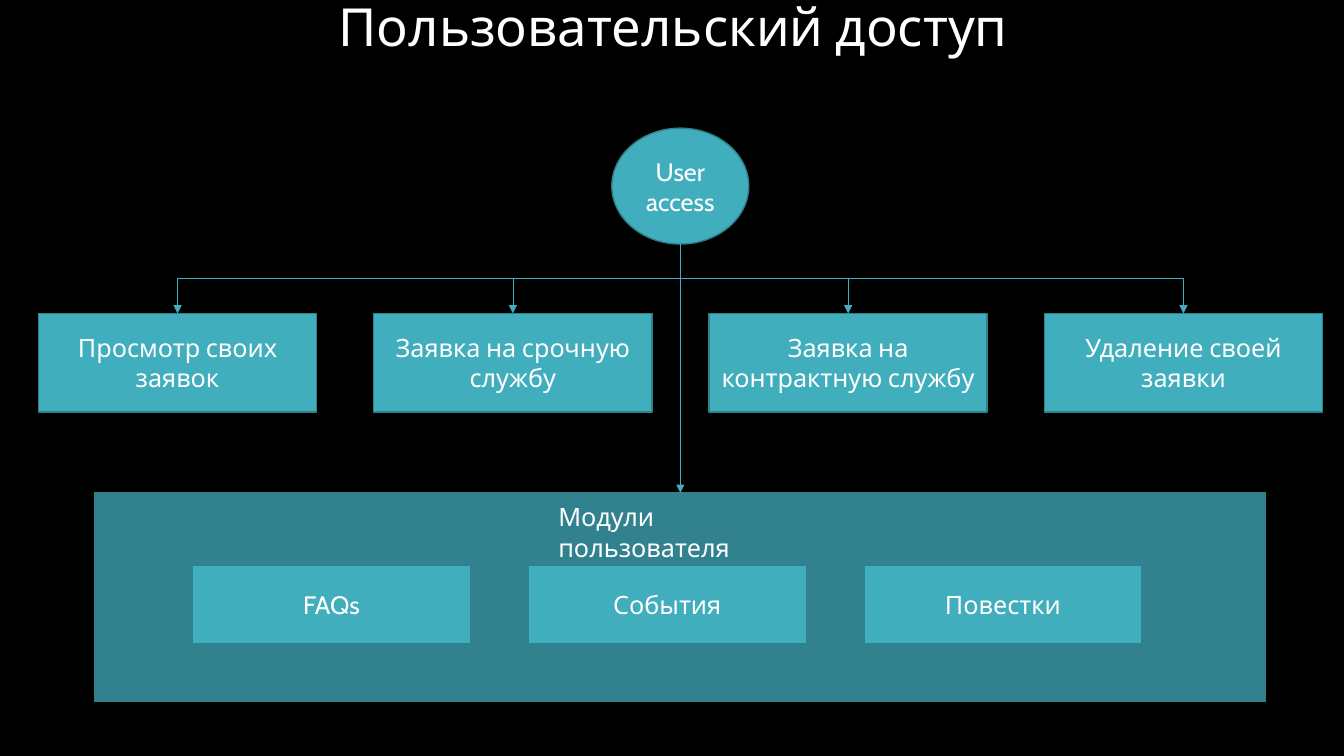
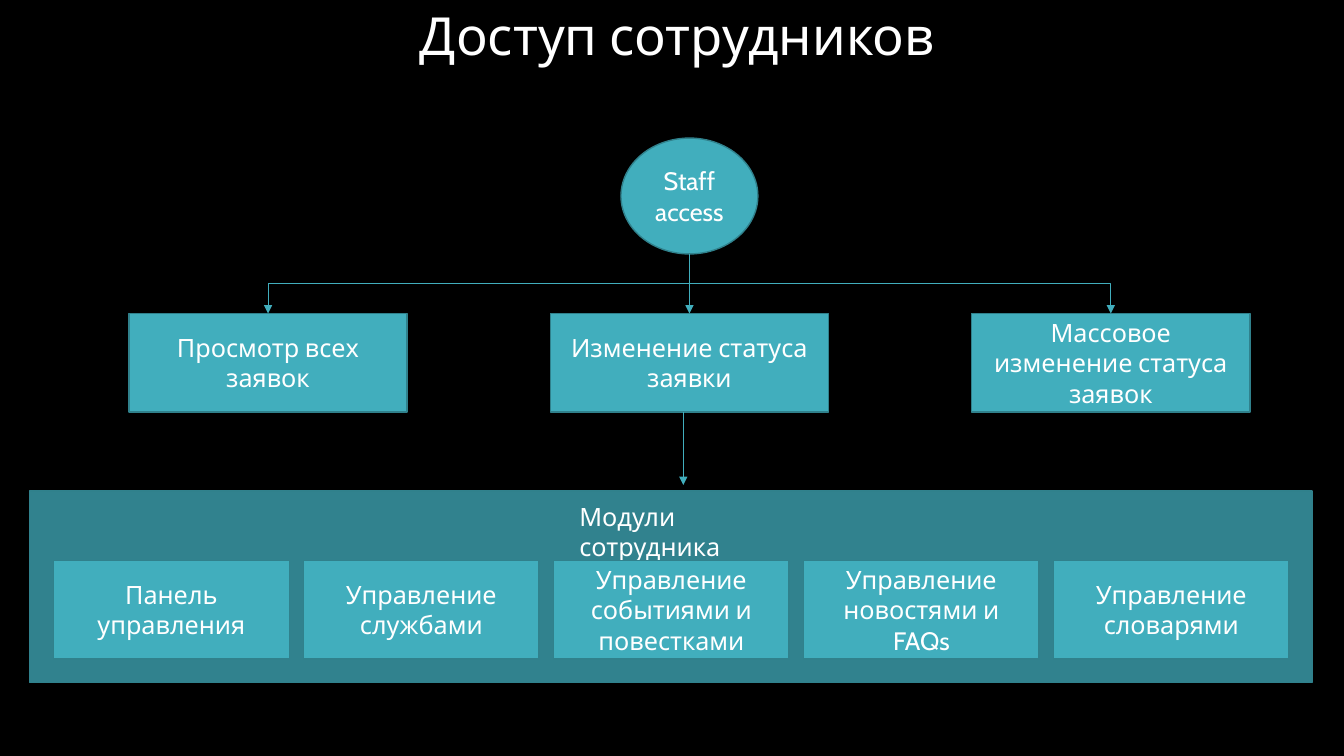
from lxml import etree
from pptx import Presentation
from pptx.dml.color import RGBColor
from pptx.enum.shapes import MSO_CONNECTOR as LINK, MSO_SHAPE as SHAPE
from pptx.enum.text import MSO_ANCHOR as ANCHOR, PP_ALIGN as ALIGN
from pptx.oxml.ns import qn
from pptx.util import Cm, Pt

BLACK = RGBColor(0x00, 0x00, 0x00)
WHITE = RGBColor(0xFF, 0xFF, 0xFF)
TEAL = RGBColor(0x41, 0xAE, 0xBD)
DARK_TEAL = RGBColor(0x31, 0x82, 0x8E)
OUTLINE = RGBColor(0x30, 0x81, 0x8C)
FONT = "Cabin"

ROLE_SIZE = 3.45, 2.92
ACTION_TOP, ACTION_SIZE = 7.9, (7.01, 2.48)


def write(frame, text, size=18, align=ALIGN.CENTER):
    frame.word_wrap = True
    paragraph = frame.paragraphs[0]
    paragraph.text = text
    paragraph.alignment = align
    font = paragraph.font
    font.name, font.size, font.color.rgb = FONT, Pt(size), WHITE
    return paragraph


def add_block(slide, place, text="", kind=SHAPE.RECTANGLE, fill=TEAL):
    block = slide.shapes.add_shape(kind, *map(Cm, place))
    block.shadow.inherit = False
    block.fill.solid()
    block.fill.fore_color.rgb = fill
    block.line.color.rgb = OUTLINE
    block.line.width = Pt(1)
    if text:
        write(block.text_frame, text)
    return block


def add_row(slide, left, top, pitch, size, texts):
    """Place equal blocks side by side, one pitch apart."""
    return [add_block(slide, (left + i * pitch, top, *size), text)
            for i, text in enumerate(texts)]


def add_title(slide, left, top, text):
    box = slide.shapes.add_textbox(Cm(left), Cm(top), Cm(32.66), Cm(1.37))
    box.text_frame.vertical_anchor = ANCHOR.BOTTOM
    write(box.text_frame, text, 37.5).line_spacing = 0.7


def add_label(slide, left, top, width, text):
    box = slide.shapes.add_textbox(Cm(left), Cm(top), Cm(width), Cm(1.02))
    write(box.text_frame, text, align=ALIGN.LEFT)


def add_arrow(slide, kind, start, end):
    arrow = slide.shapes.add_connector(kind, *map(int, (*start, *end)))
    arrow.line.color.rgb = TEAL
    arrow.line.width = Pt(0.5)
    etree.SubElement(arrow.line._get_or_add_ln(), qn("a:tailEnd"), type="triangle")
    etree.SubElement(arrow._element.spPr, qn("a:effectLst"))
    return arrow


def bottom_middle(shape):
    return shape.left + shape.width // 2, shape.top + shape.height


def top_middle(shape):
    return shape.left + shape.width // 2, shape.top


def add_straight_arrow(slide, role, target):
    arrow = add_arrow(slide, LINK.STRAIGHT, bottom_middle(role), top_middle(target))
    arrow.end_connect(target, 0)


def add_branch(slide, role, target):
    """Elbow that leaves downwards: a sideways elbow turned by a quarter."""
    (x1, y1), (x2, y2) = bottom_middle(role), top_middle(target)
    mid_x, mid_y = (x1 + x2) / 2, (y1 + y2) / 2
    to_right = x2 > x1
    half_run = abs(x2 - x1) / 2
    half_drop = (y2 - y1) / 2 * (-1 if to_right else 1)
    arrow = add_arrow(slide, LINK.ELBOW,
                      (mid_x - half_drop, mid_y - half_run),
                      (mid_x + half_drop, mid_y + half_run))
    degrees = 270 if to_right else 90
    arrow._element.spPr.find(qn("a:xfrm")).set("rot", str(degrees * 60000))


def add_role(slide, left, top, text):
    return add_block(slide, (left, top, *ROLE_SIZE), text, SHAPE.OVAL)


def add_panel(slide, *place):
    return add_block(slide, place, fill=DARK_TEAL)


def add_user_slide(slide):
    panel = add_panel(slide, 2.39, 12.42, 29.51, 5.26)
    role = add_role(slide, 15.42, 3.23, "User access")
    actions = add_row(slide, 0.97, ACTION_TOP, 8.45, ACTION_SIZE, [
        "Просмотр своих заявок", "Заявка на срочную службу",
        "Заявка на контрактную службу", "Удаление своей заявки"])
    add_label(slide, 13.82, 12.52, 6.63, "Модули пользователя")
    add_row(slide, 4.85, 14.25, 8.46, (7.01, 1.98), ["FAQs", "События", "Повестки"])
    for action in actions:
        add_branch(slide, role, action)
    add_straight_arrow(slide, role, panel)
    add_title(slide, 0.64, 0.15, "Пользовательский доступ")


def add_staff_slide(slide):
    add_panel(slide, 0.74, 12.37, 32.33, 4.83)
    role = add_role(slide, 15.65, 3.48, "Staff\vaccess")
    view, change, mass_change = add_row(slide, 3.25, ACTION_TOP, 10.62, ACTION_SIZE, [
        "Просмотр всех заявок", "Изменение статуса заявки",
        "Массовое изменение статуса заявок"])
    add_label(slide, 14.35, 12.5, 6.05, "Модули сотрудника")
    add_row(slide, 1.35, 14.12, 6.3, (5.94, 2.49), [
        "Панель управления", "Управление службами",
        "Управление событиями и повестками",
        "Управление новостями и FAQs", "Управление словарями"])
    add_straight_arrow(slide, role, change)
    for action in (view, mass_change):
        add_branch(slide, role, action)
    add_arrow(slide, LINK.STRAIGHT, (Cm(17.22), Cm(10.38)), (Cm(17.22), Cm(12.22)))
    add_title(slide, 0.74, 0.38, "Доступ сотрудников")


def main():
    deck = Presentation()
    deck.slide_width, deck.slide_height = Cm(33.87), Cm(19.05)
    backdrop = deck.slide_master.background.fill
    backdrop.solid()
    backdrop.fore_color.rgb = BLACK
    blank = deck.slide_layouts[6]
    for fill_slide in (add_user_slide, add_staff_slide):
        fill_slide(deck.slides.add_slide(blank))
    deck.save("out.pptx")


if __name__ == "__main__":
    main()
